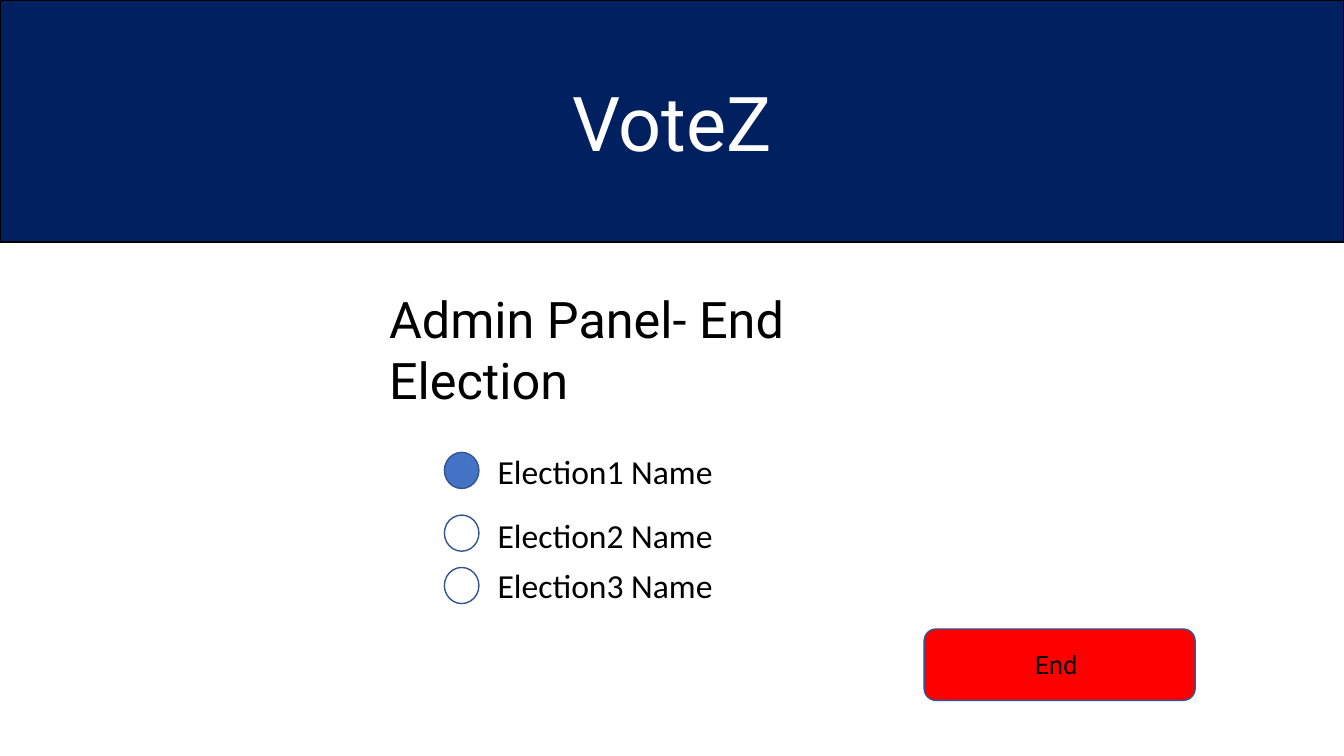
from pptx import Presentation
from pptx.dml.color import RGBColor
from pptx.enum.shapes import MSO_SHAPE as SHAPE
from pptx.enum.text import MSO_ANCHOR as ANCHOR, MSO_AUTO_SIZE as AUTO, PP_ALIGN as ALIGN
from pptx.util import Cm, Pt


def rgb(value):
    return RGBColor.from_string(value)


class Screen:
    NAVY, RED, BLUE, EDGE = "002060", "FF0000", "4472C4", "325491"
    HEAD, BODY = "Roboto", "Calibri"

    def __init__(self, prs):
        self.s = prs.slides.add_slide(prs.slide_layouts[5])

    def set_text(self, sp, text, size, font, color="000000", align=ALIGN.LEFT,
                 anchor=ANCHOR.TOP, wrap=True):
        tf = sp.text_frame
        frame = {"auto_size": AUTO.NONE, "word_wrap": wrap, "vertical_anchor": anchor}
        for name, value in frame.items():
            setattr(tf, name, value)
        p = tf.paragraphs[0]
        p.alignment = align
        r = p.add_run()
        r.text = text
        for name, value in {"size": Pt(size), "name": font}.items():
            setattr(r.font, name, value)
        r.font.color.rgb = rgb(color)

    def title(self, box, text, size):
        sp = self.s.shapes.title
        for name, value in zip(("left", "top", "width", "height"), box):
            setattr(sp, name, Cm(value))
        self.set_text(sp, text, size, self.HEAD)

    def shape(self, kind, box, fill=None, line=None):
        sp = self.s.shapes.add_shape(kind, *map(Cm, box))
        sp.shadow.inherit = False
        if fill:
            sp.fill.solid()
            sp.fill.fore_color.rgb = rgb(fill)
        else:
            sp.fill.background()
        if line:
            sp.line.color.rgb = rgb(line)
            sp.line.width = Pt(1)
        else:
            sp.line.fill.background()
        return sp

    def label(self, box, text, size):
        sp = self.s.shapes.add_textbox(*map(Cm, box))
        self.set_text(sp, text, size, self.BODY)

    def option(self, text, dot_top, text_top, width, chosen):
        self.label((12.29, text_top, width, 1.27), text, 24)
        self.shape(SHAPE.OVAL, (11.2, dot_top, 0.87, 0.91),
                   self.BLUE if chosen else None, self.EDGE)


def main():
    prs = Presentation()
    prs.slide_width, prs.slide_height = Cm(33.87), Cm(19.05)
    screen = Screen(prs)

    banner = screen.shape(SHAPE.RECTANGLE, (0, 0, 33.87, 6.1), screen.NAVY, "000000")
    screen.set_text(banner, "VoteZ", 54, screen.HEAD, "FFFFFF", ALIGN.CENTER, ANCHOR.MIDDLE)
    screen.title((9.55, 7.14, 14.76, 1.8), "Admin Panel- End Election", 36)

    screen.shape(SHAPE.ROUNDED_RECTANGLE, (23.29, 15.85, 6.83, 1.8), screen.RED, screen.EDGE)
    caption = screen.shape(SHAPE.RECTANGLE, (25.83, 16.23, 1.78, 1.02), screen.RED)
    screen.set_text(caption, "End", 18, screen.HEAD, wrap=False)

    rows = [(11.4, 11.23, 6.55), (12.98, 12.85, 7.39), (14.3, 14.12, 7.85)]
    for number, row in enumerate(rows, 1):
        screen.option(f"Election{number} Name", *row, chosen=number == 1)

    prs.save("out.pptx")


if __name__ == "__main__":
    main()
